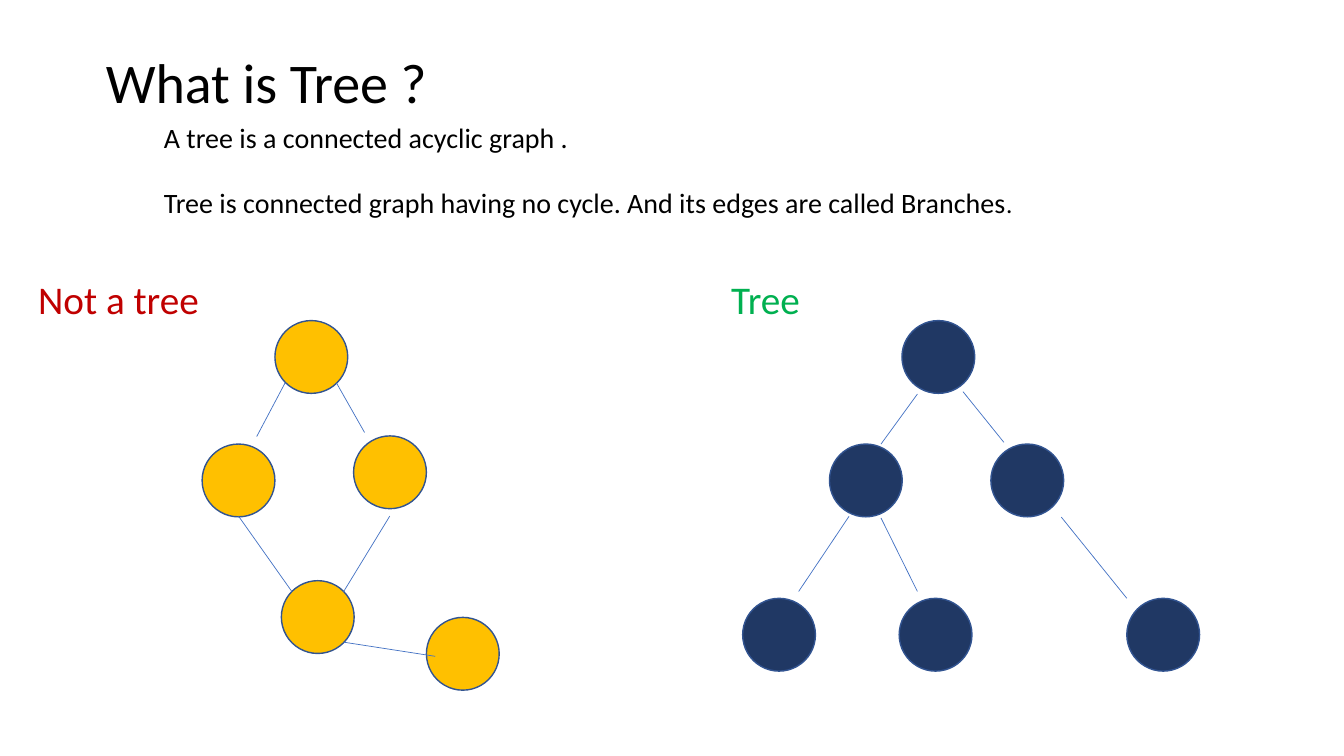
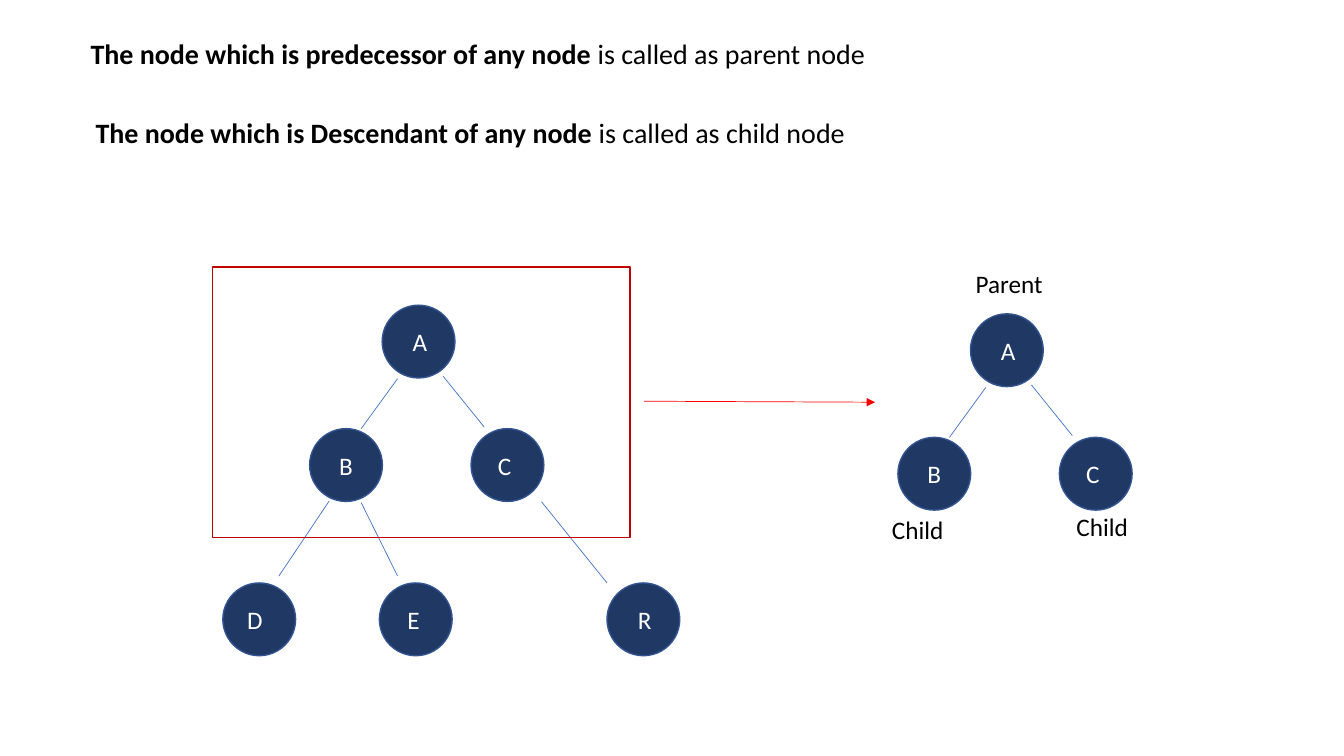
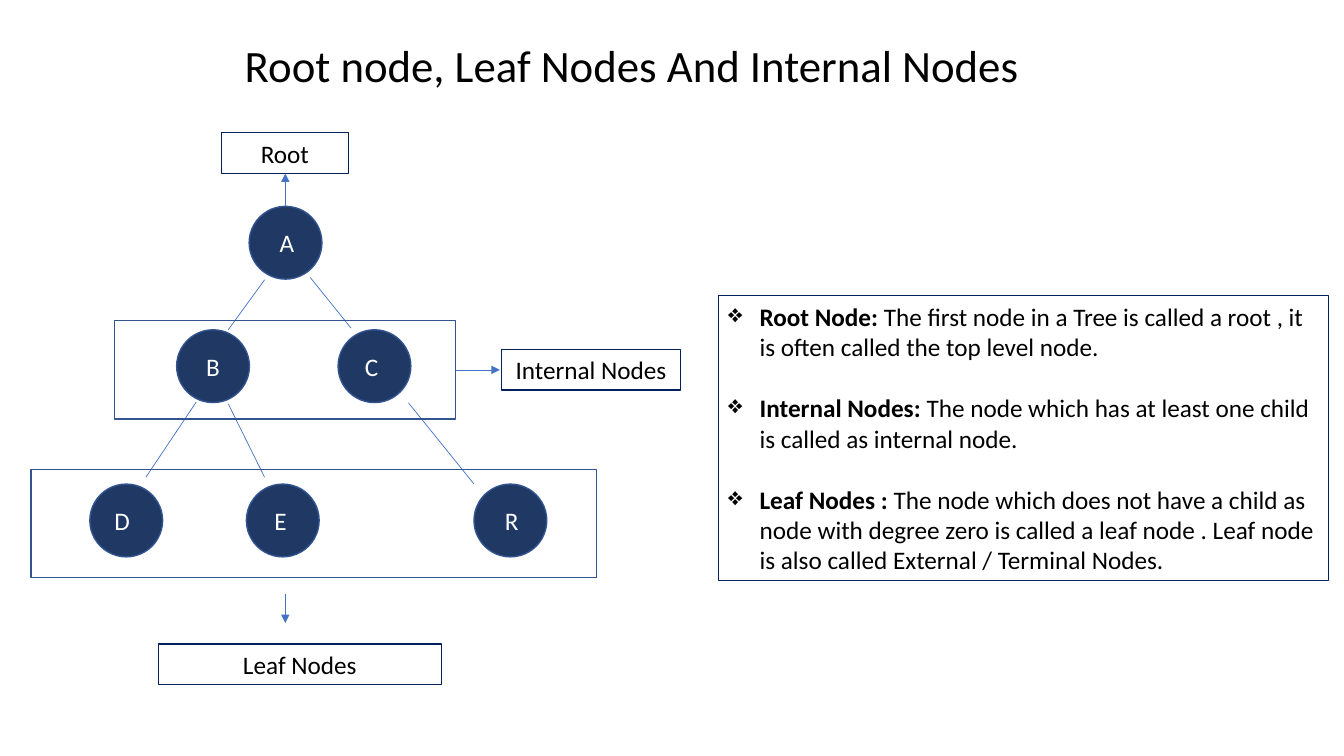
from dataclasses import dataclass, replace

from lxml import etree
from pptx import Presentation
from pptx import slide as sl
from pptx import text as tx
from pptx.dml.color import RGBColor
from pptx.enum import shapes, text
from pptx.oxml import ns
from pptx.shapes import autoshape, connector
from pptx.text import text as body
from pptx.util import Pt

FONT = "Calibri"
BLACK = RGBColor(0x00, 0x00, 0x00)
WHITE = RGBColor(0xFF, 0xFF, 0xFF)
RED = RGBColor(0xC0, 0x00, 0x00)
BRIGHT_RED = RGBColor(0xFF, 0x00, 0x00)
GREEN = RGBColor(0x00, 0xB0, 0x50)
AMBER = RGBColor(0xFF, 0xC0, 0x00)
NAVY = RGBColor(0x20, 0x38, 0x64)
FRAME_NAVY = RGBColor(0x00, 0x20, 0x60)
OUTLINE = RGBColor(0x32, 0x54, 0x91)
EDGE_BLUE = RGBColor(0x44, 0x72, 0xC4)

NODE_SIZE = 52
TITLE_ONLY, BLANK = 5, 6
LEFT, CENTER = text.PP_ALIGN.LEFT, text.PP_ALIGN.CENTER


@dataclass(frozen=True)
class Box:
    left: float
    top: float
    width: float
    height: float

    def lengths(self) -> tuple[Pt, Pt, Pt, Pt]:
        return Pt(self.left), Pt(self.top), Pt(self.width), Pt(self.height)


@dataclass(frozen=True)
class Span:
    words: str
    bold: bool = False
    size: float | None = None


@dataclass(frozen=True)
class Style:
    size: float = 18
    color: RGBColor = BLACK
    align: text.PP_ALIGN = LEFT
    gap: float = 0
    bullet: str = ""


@dataclass(frozen=True)
class Node:
    x: float
    y: float
    label: str = ""
    nudge: float = 0


@dataclass(frozen=True)
class Edge:
    x1: float
    y1: float
    x2: float
    y2: float


@dataclass(frozen=True)
class Graph:
    fill: RGBColor
    nodes: tuple[Node, ...]
    edges: tuple[Edge, ...]


CYCLE = Graph(
    AMBER,
    (Node(0, 0), Node(-52, 88.2), Node(56.2, 82.4), Node(4.6, 185.8), Node(108.2, 212)),
    (
        Edge(-13, 82.8, 7.2, 44.6),
        Edge(12.2, 193.7, -26, 139.7),
        Edge(44, 44.6, 64, 79.9),
        Edge(82, 139.7, 49, 193.7),
        Edge(49, 229.7, 114.5, 239.8),
    ),
)
TREE = Graph(
    NAVY,
    (
        Node(0, 0, "A", 1),
        Node(-51.8, 88.2, "B"),
        Node(63.5, 88.2, "C", -2),
        Node(-113.8, 198.4, "D", -3),
        Node(-2, 198.4, "E", -1.5),
        Node(160.6, 198.4, "R", 1),
    ),
    (
        Edge(11, 52.5, -15, 88.2),
        Edge(43.6, 50.8, 72.8, 87),
        Edge(-37.8, 139.8, -73.8, 193.5),
        Edge(-15, 141, 11, 193.5),
        Edge(113.8, 140.4, 160.6, 198.4),
    ),
)
PLAIN_TREE = replace(TREE, nodes=tuple(replace(node, label="") for node in TREE.nodes))
FAMILY = replace(TREE, nodes=TREE.nodes[:3], edges=TREE.edges[:2])


def add_bullet(para: body._Paragraph, mark: str) -> None:
    props = para._p.get_or_add_pPr()
    props.set("marL", str(Pt(22.5)))
    props.set("indent", str(-Pt(22.5)))
    char = etree.Element(ns.qn("a:buChar"), char=mark)
    props.insert_element_before(char, "a:tabLst", "a:defRPr", "a:extLst")


def write(frame: body.TextFrame, paras: list[list[Span]], style: Style) -> None:
    frame.word_wrap = True
    frame.auto_size = text.MSO_AUTO_SIZE.NONE
    for index, spans in enumerate(paras):
        para = frame.add_paragraph() if index else frame.paragraphs[0]
        para.alignment = style.align
        para.font.name = FONT
        para.font.size = Pt(style.size)
        para.font.color.rgb = style.color
        if index < len(paras) - 1:
            para.space_after = Pt(style.gap)
        if style.bullet:
            add_bullet(para, style.bullet)
        for span in spans:
            run = para.add_run()
            run.text = span.words
            if span.bold:
                run.font.bold = True
            if span.size:
                run.font.size = Pt(span.size)


def add_title(page: sl.Slide, box: Box, words: str, style: Style) -> None:
    title = page.shapes.title
    title.left, title.top, title.width, title.height = box.lengths()
    title.text_frame.vertical_anchor = text.MSO_ANCHOR.TOP
    write(title.text_frame, [[Span(words)]], style)


def add_text(page: sl.Slide, box: Box, paras: list[list[Span]], style: Style) -> None:
    write(page.shapes.add_textbox(*box.lengths()).text_frame, paras, style)


def add_figure(
    page: sl.Slide,
    kind: shapes.MSO_SHAPE,
    box: Box,
    line: RGBColor,
    weight: float = 1,
    fill: RGBColor | None = None,
) -> autoshape.Shape:
    figure = page.shapes.add_shape(kind, *box.lengths())
    figure.shadow.inherit = False
    figure.line.color.rgb = line
    figure.line.width = Pt(weight)
    if fill is None:
        figure.fill.background()
    else:
        figure.fill.solid()
        figure.fill.fore_color.rgb = fill
    return figure


def add_frame(page: sl.Slide, box: Box, line: RGBColor = OUTLINE) -> None:
    add_figure(page, shapes.MSO_SHAPE.RECTANGLE, box, line)


def add_panel(page: sl.Slide, box: Box, paras: list[list[Span]], style: Style) -> None:
    panel = add_figure(page, shapes.MSO_SHAPE.RECTANGLE, box, FRAME_NAVY, 0.75)
    write(panel.text_frame, paras, style)


def add_line(page: sl.Slide, edge: Edge, color: RGBColor = EDGE_BLUE) -> connector.Connector:
    line = page.shapes.add_connector(
        shapes.MSO_CONNECTOR.STRAIGHT, Pt(edge.x1), Pt(edge.y1), Pt(edge.x2), Pt(edge.y2)
    )
    line.line.color.rgb = color
    line.line.width = Pt(0.5)
    etree.SubElement(line._element.spPr, ns.qn("a:effectLst"))
    return line


def add_arrow(page: sl.Slide, edge: Edge, color: RGBColor = EDGE_BLUE) -> None:
    arrow = add_line(page, edge, color)
    etree.SubElement(arrow.line._get_or_add_ln(), ns.qn("a:tailEnd"), type="triangle")


def add_graph(page: sl.Slide, graph: Graph, left: float, top: float) -> None:
    for node in graph.nodes:
        box = Box(left + node.x, top + node.y, NODE_SIZE, NODE_SIZE)
        circle = add_figure(page, shapes.MSO_SHAPE.OVAL, box, OUTLINE, fill=graph.fill)
        if node.label:
            frame = circle.text_frame
            frame.margin_left, frame.margin_right = Pt(6 + node.nudge), Pt(6 - node.nudge)
            write(frame, [[Span(node.label)]], Style(color=WHITE, align=CENTER))
    for edge in graph.edges:
        add_line(page, Edge(left + edge.x1, top + edge.y1, left + edge.x2, top + edge.y2))


def build_definition(page: sl.Slide) -> None:
    add_title(page, Box(68.4, 30.2, 358, 55.7), "What is Tree ?", Style(40))
    sentence = "Tree is connected graph having no cycle. And its edges are called Branches"
    add_text(
        page,
        Box(110, 82.6, 631.4, 77.8),
        [[Span("A tree is a connected acyclic graph .")], [Span(sentence), Span(".", size=18)]],
        Style(20, gap=22),
    )
    add_text(page, Box(20.2, 193, 201.6, 41), [[Span("Not a tree")]], Style(28, RED))
    add_text(page, Box(515.2, 193, 157, 41), [[Span("Tree")]], Style(28, GREEN))
    add_graph(page, CYCLE, 196.4, 229)
    add_graph(page, PLAIN_TREE, 644.3, 229)


def build_family(page: sl.Slide) -> None:
    for left, top, subject, role in (
        (57.6, 22.3, "predecessor", "parent"),
        (61.2, 79.2, "Descendant", "child"),
    ):
        spans = [
            Span(f"The node which is {subject} of any node ", bold=True),
            Span(f"is called as {role} node"),
        ]
        add_text(page, Box(left, top, 609, 31.7), [spans], Style(20))
    add_graph(page, TREE, 273, 218)
    add_frame(page, Box(151.9, 190.8, 298, 193), RED)
    add_graph(page, FAMILY, 693.2, 224.2)
    add_arrow(page, Edge(460, 286.6, 625, 287.3), BRIGHT_RED)
    for left, top, role in ((689.8, 188, "Parent"), (630, 363.6, "Child"), (761.8, 361.4, "Child")):
        add_text(page, Box(left, top, 67, 28.8), [[Span(role)]], Style())


def build_node_kinds(page: sl.Slide) -> None:
    heading = "Root node, Leaf Nodes And Internal Nodes"
    add_title(page, Box(130.3, 23, 642.2, 46), heading, Style(32, align=CENTER))
    add_graph(page, TREE, 178, 147.4)
    add_frame(page, Box(22.3, 335.5, 404, 77))
    add_frame(page, Box(81.6, 229, 244, 70.4))
    for box, name in (
        (Box(158, 94.8, 91, 29), "Root"),
        (Box(358.2, 249.6, 128, 29), "Internal Nodes"),
        (Box(113, 460, 202.3, 29), "Leaf Nodes"),
    ):
        add_panel(page, box, [[Span(name)]], Style(align=CENTER))
    for edge in (
        Edge(203.8, 147.4, 203.8, 124),
        Edge(326, 264.2, 357, 264.2),
        Edge(203.8, 424.6, 203.8, 445),
    ):
        add_arrow(page, edge)
    terms = {
        "Root Node: ": "The first node in a Tree is called a root , "
        "it is often called the top level node.",
        "Internal Nodes: ": "The node which has at least one child is called as internal node.",
        "Leaf Nodes : ": "The node which does not have a child as node with degree zero "
        "is called a leaf node . Leaf node is also called External / Terminal Nodes.",
    }
    paras = [[Span(term, bold=True), Span(meaning)] for term, meaning in terms.items()]
    add_panel(page, Box(513, 211, 435.8, 203.8), paras, Style(gap=22, bullet="\u2756"))


def main() -> None:
    deck = Presentation()
    deck.slide_width, deck.slide_height = Pt(960), Pt(540)
    for layout, build in (
        (TITLE_ONLY, build_definition),
        (BLANK, build_family),
        (TITLE_ONLY, build_node_kinds),
    ):
        build(deck.slides.add_slide(deck.slide_layouts[layout]))
    deck.save("out.pptx")


main()
